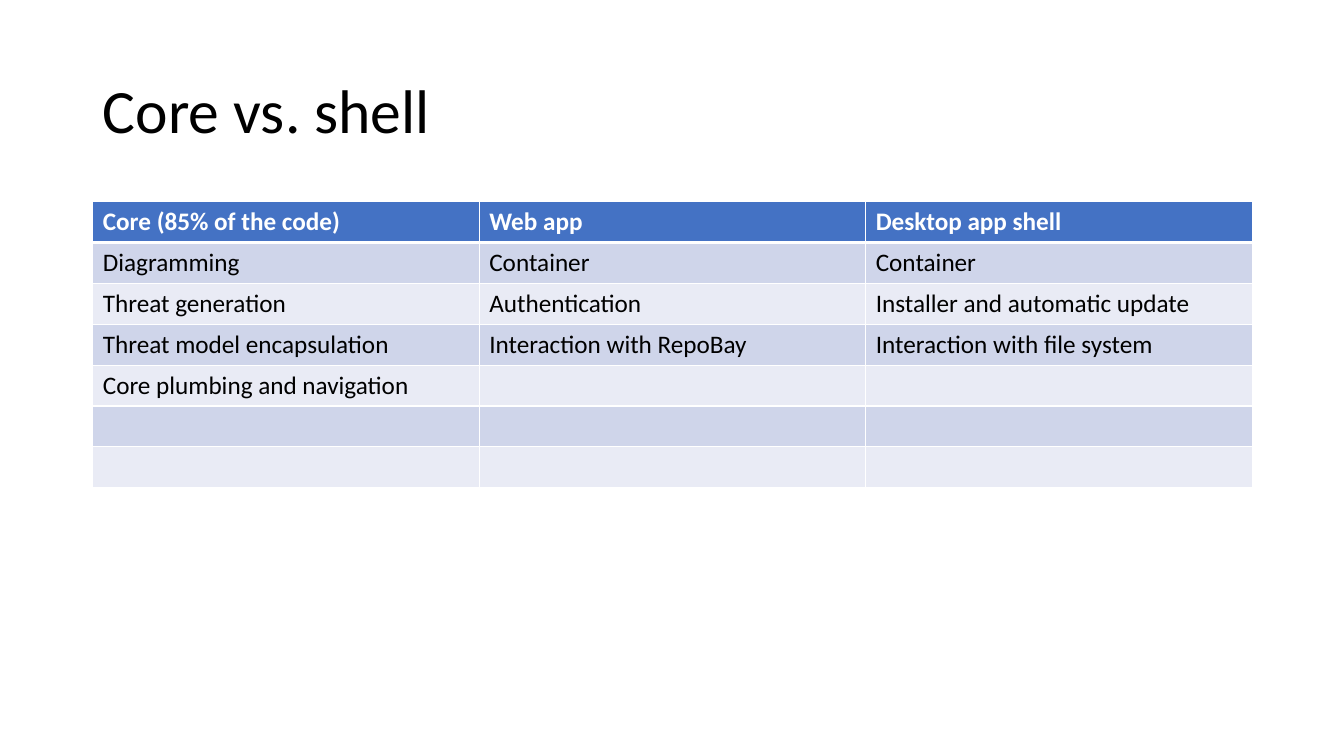
from lxml.etree import SubElement
from pptx import Presentation
from pptx.dml.color import RGBColor
from pptx.enum.text import MSO_ANCHOR as Anchor, PP_ALIGN as Align
from pptx.oxml.ns import qn
from pptx.util import Inches, Pt

FONT = "Calibri"
WHITE, BLACK = "FFFFFF", "000000"
HEADER_FILL = "4472C4"
BAND_FILLS = ("E9EBF5", "CFD5EA")
LEFT, WIDTH = 0.92, 11.5
ROW_HEIGHT = 2.84 / 7

ROWS = [
    ("Core (85% of the code)", "Web app", "Desktop app shell"),
    ("Diagramming", "Container", "Container"),
    ("Threat generation", "Authentication", "Installer and automatic update"),
    ("Threat model encapsulation", "Interaction with RepoBay", "Interaction with file system"),
    ("Core plumbing and navigation", "", ""),
    ("", "", ""),
    ("", "", ""),
]


def color(value):
    return RGBColor.from_string(value)


def write_text(frame, text, size=18, fill=BLACK, bold=False, spacing=1.0):
    paragraph = frame.paragraphs[0]
    paragraph.alignment = Align.LEFT
    paragraph.line_spacing = spacing
    paragraph.font.size = Pt(size)
    if not text:
        return
    run = paragraph.add_run()
    run.text = text
    font = run.font
    font.name, font.size, font.bold = FONT, Pt(size), bold
    font.color.rgb = color(fill)


def add_title(slide, text):
    title = slide.shapes.title
    title.left, title.top = Inches(LEFT), Inches(0.4)
    title.width, title.height = Inches(WIDTH), Inches(1.45)
    title.text_frame.word_wrap = True
    title.text_frame.vertical_anchor = Anchor.MIDDLE
    write_text(title.text_frame, text, size=44, spacing=0.9)


def set_borders(cell, **widths):
    properties = cell._tc.get_or_add_tcPr()
    for side in "LRTB":
        line = SubElement(properties, qn(f"a:ln{side}"), w=str(Pt(widths.get(side, 1))))
        fill = SubElement(line, qn("a:solidFill"))
        SubElement(fill, qn("a:srgbClr"), val=WHITE)


def style_cell(cell, text, row):
    header = row == 0
    write_text(cell.text_frame, text, fill=WHITE if header else BLACK, bold=header)
    set_borders(cell, T=3 if row == 1 else 1, B=3 if header else 1)
    cell.fill.solid()
    cell.fill.fore_color.rgb = color(HEADER_FILL if header else BAND_FILLS[row % 2])


def add_grid(slide, rows):
    columns = len(rows[0])
    frame = slide.shapes.add_table(
        len(rows), columns, Inches(LEFT), Inches(2),
        Inches(WIDTH), Inches(ROW_HEIGHT * len(rows)))
    table = frame.table
    for column in table.columns:
        column.width = Inches(WIDTH / columns)
    for index, texts in enumerate(rows):
        table.rows[index].height = Inches(ROW_HEIGHT)
        for position, text in enumerate(texts):
            style_cell(table.cell(index, position), text, index)


def main():
    presentation = Presentation()
    presentation.slide_width = Inches(13.33)
    presentation.slide_height = Inches(7.5)
    slide = presentation.slides.add_slide(presentation.slide_layouts.get_by_name("Title Only"))
    add_title(slide, "Core vs. shell")
    add_grid(slide, ROWS)
    presentation.save("out.pptx")


if __name__ == "__main__":
    main()
